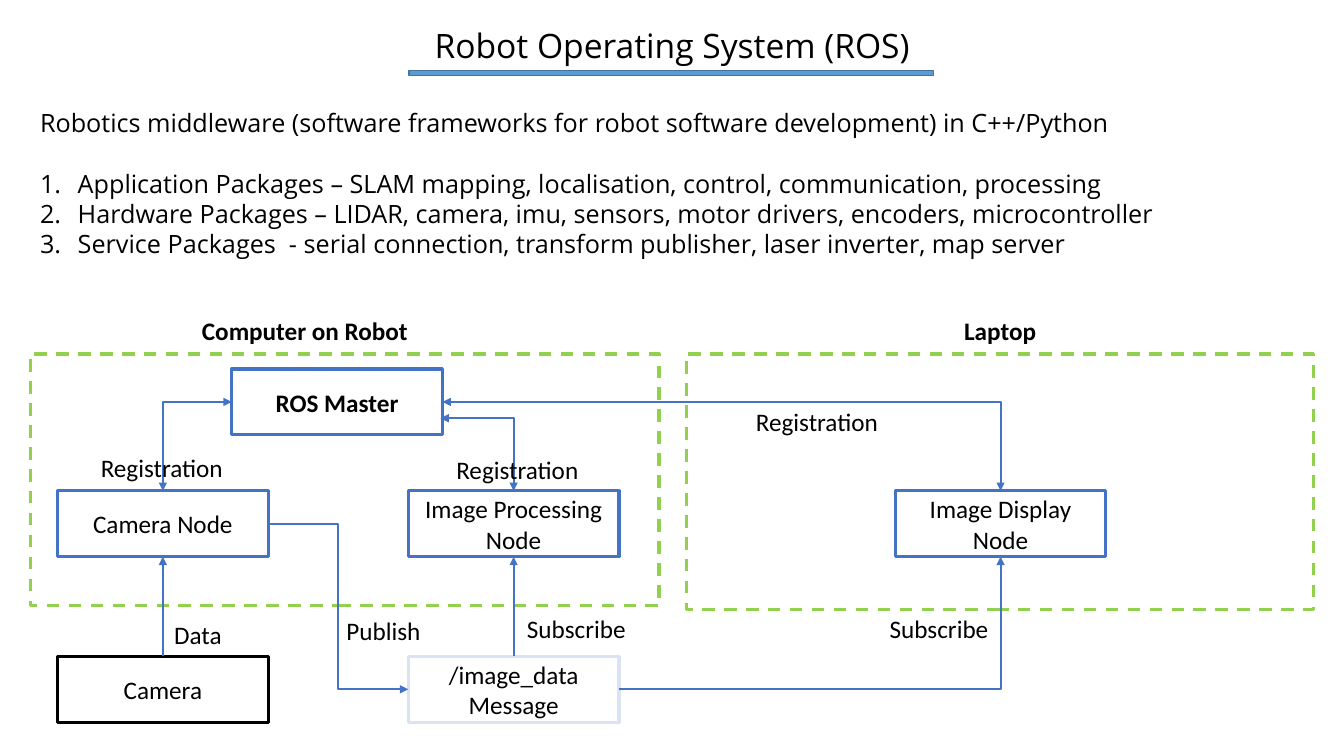
from lxml.etree import SubElement
from pptx import Presentation
from pptx.dml.color import RGBColor
from pptx.enum.dml import MSO_LINE
from pptx.enum.shapes import MSO_CONNECTOR, MSO_SHAPE
from pptx.enum.text import MSO_ANCHOR, PP_ALIGN
from pptx.oxml.ns import qn
from pptx.util import Cm, Pt

COLORS = {
    "text": "000000", "white": "FFFFFF", "bar": "5B9BD5", "bar_line": "43739E",
    "node": "4472C4", "message": "DAE3F3", "frame": "92D050",
}
TOP, LEFT, BOTTOM, RIGHT = range(4)
BOX_WIDTH, BOX_HEIGHT = 5.31, 1.66
CAMERA_X, PROCESSING_X, DISPLAY_X = 1.45, 10.29, 22.56
NODE_Y, DEVICE_Y = 12.37, 16.54
INTRODUCTION = ("Robotics middleware (software frameworks for robot software "
                "development) in C++/Python")
PACKAGES = [
    "Application Packages – SLAM mapping, localisation, control, communication, processing",
    "Hardware Packages – LIDAR, camera, imu, sensors, motor drivers, encoders, microcontroller",
    "Service Packages  - serial connection, transform publisher, laser inverter, map server",
]
LABELS = [
    ("Registration", 2.29, 11.28), ("Registration", 11.25, 11.33),
    ("Registration", 18.8, 10.11), ("Data", 4.14, 15.47),
    ("Publish", 8.48, 15.37), ("Subscribe", 13.03, 15.32),
    ("Subscribe", 22.17, 15.32),
]


def color(name):
    """Return the named colour."""
    return RGBColor.from_string(COLORS[name])


def format_text(shape, size=18, font="Calibri", bold=False, align=PP_ALIGN.LEFT):
    """Format every paragraph of a shape alike."""
    for paragraph in shape.text_frame.paragraphs:
        paragraph.alignment = align
        for run in paragraph.runs:
            run.font.size = Pt(size)
            run.font.name = font
            run.font.bold = bold
            run.font.color.rgb = color("text")


def add_text(slide, text, left, top, width, height, wrap=True, **style):
    """Add a formatted text box."""
    box = slide.shapes.add_textbox(Cm(left), Cm(top), Cm(width), Cm(height))
    box.text_frame.word_wrap = wrap
    box.text_frame.text = text
    format_text(box, **style)
    return box


def add_rectangle(slide, left, top, width, height, line, fill=None, weight=2.25):
    """Add an outlined rectangle, filled on request."""
    shape = slide.shapes.add_shape(
        MSO_SHAPE.RECTANGLE, Cm(left), Cm(top), Cm(width), Cm(height))
    shape.shadow.inherit = False
    shape.line.color.rgb = color(line)
    shape.line.width = Pt(weight)
    if fill:
        shape.fill.solid()
        shape.fill.fore_color.rgb = color(fill)
    else:
        shape.fill.background()
    return shape


def add_box(slide, text, left, top, line="node", bold=False):
    """Add one labelled box of the diagram."""
    box = add_rectangle(slide, left, top, BOX_WIDTH, BOX_HEIGHT, line, "white")
    box.text_frame.text = text
    box.text_frame.word_wrap = True
    box.text_frame.vertical_anchor = MSO_ANCHOR.MIDDLE
    format_text(box, bold=bold, align=PP_ALIGN.CENTER)
    return box


def add_frame(slide, title, left, width, height, title_left):
    """Add a dashed machine frame with its heading."""
    frame = add_rectangle(slide, left, 8.92, width, height, "frame")
    frame.line.dash_style = MSO_LINE.DASH
    heading = add_text(slide, title, title_left, 7.49, 6.83, BOX_HEIGHT,
                       bold=True, align=PP_ALIGN.CENTER)
    heading.text_frame.vertical_anchor = MSO_ANCHOR.MIDDLE


def add_arrow(slide, target, target_site, source=None, source_site=None,
              start=(0, 0), preset="bentConnector2", both_ends=False):
    """Join a source box or a free start point to a target box."""
    x, y = start
    connector = slide.shapes.add_connector(
        MSO_CONNECTOR.ELBOW, Cm(x), Cm(y), Cm(x), Cm(y))
    if source is not None:
        connector.begin_connect(source, source_site)
    connector.end_connect(target, target_site)
    connector.line.color.rgb = color("node")
    connector.line.width = Pt(1.5)
    properties = connector._element.spPr
    properties.find(qn("a:prstGeom")).set("prst", preset)
    line = connector.line._get_or_add_ln()
    for end in ("a:headEnd", "a:tailEnd") if both_ends else ("a:tailEnd",):
        SubElement(line, qn(end), type="triangle")
    SubElement(properties, qn("a:effectLst"))


def add_overview(slide):
    """Add the introduction and the numbered packages."""
    box = add_text(slide, "\n".join([INTRODUCTION, *PACKAGES]),
                   0.76, 2.59, 32.36, 4.11, font="Open Sans")
    packages = box.text_frame.paragraphs[1:]
    packages[0].space_before = Pt(21.5)
    for paragraph in packages:
        properties = paragraph._p.get_or_add_pPr()
        properties.set("marL", str(Cm(0.95)))
        properties.set("indent", str(-Cm(0.95)))
        SubElement(properties, qn("a:buFont"), typeface="+mj-lt")
        SubElement(properties, qn("a:buAutoNum"), type="arabicPeriod")


def add_diagram(slide):
    """Add the nodes, frames, arrows and labels."""
    master = add_box(slide, "ROS Master", 5.84, 9.3, bold=True)
    camera_node = add_box(slide, "Camera Node", CAMERA_X, NODE_Y)
    processing = add_box(slide, "Image Processing Node", PROCESSING_X, NODE_Y)
    display = add_box(slide, "Image Display Node", DISPLAY_X, NODE_Y)
    camera = add_box(slide, "Camera", CAMERA_X, DEVICE_Y, "text")
    message = add_box(slide, "/image_data Message", PROCESSING_X, DEVICE_Y, "message")
    add_frame(slide, "Computer on Robot", 0.76, 15.85, 6.35, 4.27)
    add_frame(slide, "Laptop", 17.3, 15.8, 6.43, 21.79)

    add_arrow(slide, camera_node, TOP, master, LEFT, both_ends=True)
    add_arrow(slide, processing, TOP, start=(11.1, 10.54), both_ends=True)
    add_arrow(slide, display, TOP, master, RIGHT, both_ends=True)
    add_arrow(slide, display, BOTTOM, message, RIGHT)
    add_arrow(slide, message, LEFT, camera_node, RIGHT, preset="bentConnector3")
    for source, target in ((camera, camera_node), (message, processing)):
        add_arrow(slide, target, BOTTOM, source, TOP, preset="straightConnector1")
    for text, left, top in LABELS:
        add_text(slide, text, left, top, 3.6, 1.02, wrap=False)


def main():
    """Build and save the slide."""
    presentation = Presentation()
    presentation.slide_width, presentation.slide_height = Cm(33.87), Cm(19.05)
    slide = presentation.slides.add_slide(presentation.slide_layouts[6])
    add_text(slide, "Robot Operating System (ROS)", 7.11, 0.51, 19.66, 1.27,
             size=24, font="Open Sans", align=PP_ALIGN.CENTER)
    add_rectangle(slide, 10.31, 1.78, 13.21, 0.13, "bar_line", "bar", 1)
    add_overview(slide)
    add_diagram(slide)
    presentation.save("out.pptx")


main()
